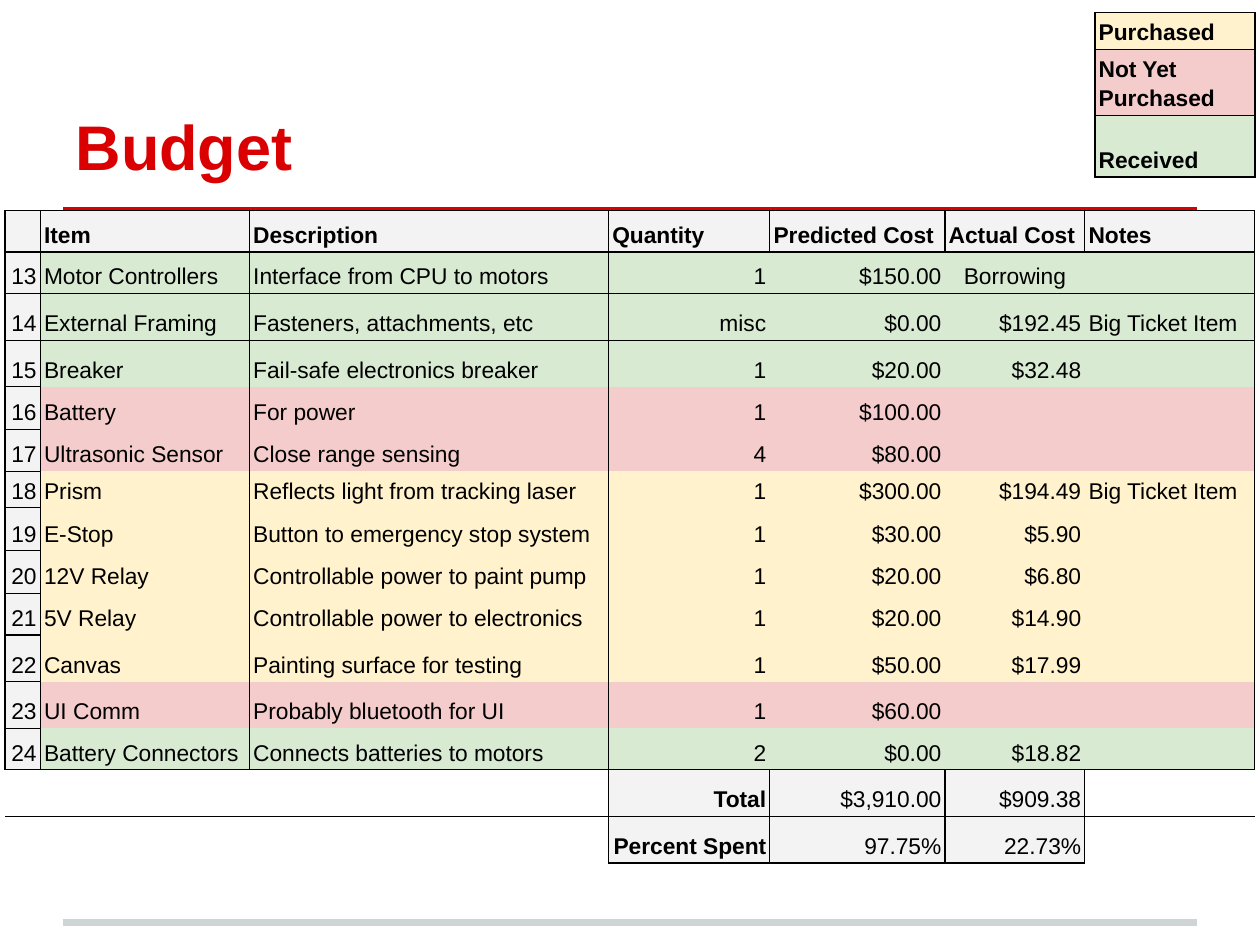
"""Build the budget slide: a colour-coded cost table with its legend."""
from lxml.etree import SubElement
from pptx import Presentation
from pptx.dml.color import RGBColor
from pptx.enum.shapes import MSO_CONNECTOR
from pptx.enum.text import MSO_ANCHOR, PP_ALIGN
from pptx.oxml.ns import qn
from pptx.util import Inches, Pt

COLORS = {"red": "DA0002", "rule": "CFD4D4", "text": "000000", "head": "F3F3F3",
          "received": "D9EAD3", "pending": "F4CCCC", "purchased": "FFF2CC"}
NO_STYLE = "{2D5ABB26-0587-4C30-8999-92F81FD0307C}"
LEFT, CENTER, RIGHT = PP_ALIGN.LEFT, PP_ALIGN.CENTER, PP_ALIGN.RIGHT

HEADER = ("", "Item", "Description", "Quantity", "Predicted Cost", "Actual Cost", "Notes")
ITEMS = [
    ("received", "Motor Controllers", "Interface from CPU to motors", "1", "$150.00", "Borrowing", ""),
    ("received", "External Framing", "Fasteners, attachments, etc", "misc", "$0.00", "$192.45", "Big Ticket Item"),
    ("received", "Breaker", "Fail-safe electronics breaker", "1", "$20.00", "$32.48", ""),
    ("pending", "Battery", "For power", "1", "$100.00", "", ""),
    ("pending", "Ultrasonic Sensor", "Close range sensing", "4", "$80.00", "", ""),
    ("purchased", "Prism", "Reflects light from tracking laser", "1", "$300.00", "$194.49", "Big Ticket Item"),
    ("purchased", "E-Stop", "Button to emergency stop system", "1", "$30.00", "$5.90", ""),
    ("purchased", "12V Relay", "Controllable power to paint pump", "1", "$20.00", "$6.80", ""),
    ("purchased", "5V Relay", "Controllable power to electronics", "1", "$20.00", "$14.90", ""),
    ("purchased", "Canvas", "Painting surface for testing", "1", "$50.00", "$17.99", ""),
    ("pending", "UI Comm", "Probably bluetooth for UI", "1", "$60.00", "", ""),
    ("received", "Battery Connectors", "Connects batteries to motors", "2", "$0.00", "$18.82", ""),
]
FIRST_NUMBER = 13
TOTALS = [("Total", "$3,910.00", "$909.38"), ("Percent Spent", "97.75%", "22.73%")]
TOTAL_BORDERS = [("T", "T", "TR", "LTB"), ("T", "", "R", "LT")]
LEGEND = [("Purchased", "purchased"), ("Not Yet Purchased", "pending"), ("Received", "received")]

COLS = (0.28, 1.66, 2.85, 1.28, 1.39, 1.11, 1.35)
ROWS = (0.33, 0.33, 0.37, 0.37, 0.34, 0.33, 0.29, 0.34, 0.34, 0.33, 0.37, 0.37, 0.33, 0.37, 0.37)
LEGEND_ROWS = (0.29, 0.52, 0.49)


def rgb(name):
    return RGBColor.from_string(COLORS[name])


def write(tf, text, size=13, color="text", bold=False, align=LEFT, spacing=1.15):
    p = tf.paragraphs[0]
    p.alignment, p.line_spacing = align, spacing
    if not text:
        SubElement(p._p, qn("a:endParaRPr"), sz=str(size * 100))
        return
    r = p.add_run()
    r.text = text
    r.font.name, r.font.size, r.font.bold = "Arial", Pt(size), bold
    r.font.color.rgb = rgb(color)


def fill_cell(cell, text="", fill=None, borders="", **fmt):
    cell.vertical_anchor = MSO_ANCHOR.BOTTOM
    cell.margin_left = cell.margin_right = cell.margin_top = cell.margin_bottom = Inches(0.03)
    tc_pr = cell._tc.get_or_add_tcPr()
    for side in "LRTB":
        if side in borders:
            ln = SubElement(tc_pr, qn(f"a:ln{side}"), w=str(Pt(0.75)))
            solid = SubElement(ln, qn("a:solidFill"))
            SubElement(solid, qn("a:srgbClr"), val=COLORS["text"])
    if fill:
        cell.fill.solid()
        cell.fill.fore_color.rgb = rgb(fill)
    else:
        cell.fill.background()
    write(cell.text_frame, text, **fmt)


def add_grid(s, x, y, cols, rows):
    frame = s.shapes.add_table(len(rows), len(cols), Inches(x), Inches(y),
                               Inches(sum(cols)), Inches(sum(rows)))
    table = frame.table
    table.first_row = table.horz_banding = False
    table._tbl.tblPr.find(qn("a:tableStyleId")).text = NO_STYLE
    for col, width in zip(table.columns, cols):
        col.width = Inches(width)
    for row, height in zip(table.rows, rows):
        row.height = Inches(height)
    return table


def add_rule(s, y, color):
    line = s.shapes.add_connector(MSO_CONNECTOR.STRAIGHT, Inches(0.5), Inches(y), Inches(9.5), Inches(y))
    line.line.color.rgb = rgb(color)
    line.line.width = Pt(4)
    SubElement(line._element.spPr, qn("a:effectLst"))


def item_borders(row, col):
    sides = {1: "LR", 2: "L", 6: "R"}.get(col, "")
    if row in (0, 1):
        sides += "T"
    if row in (0, len(ITEMS) - 1):
        sides += "B"
    return sides


def add_budget(s):
    table = add_grid(s, 0.04, 1.67, COLS, ROWS)
    for c, text in enumerate(HEADER):
        fill_cell(table.cell(0, c), text, "head", "LRTB", bold=True)
    for i, (status, *values) in enumerate(ITEMS):
        fill_cell(table.cell(i + 1, 0), str(FIRST_NUMBER + i), "head", "LRTB", align=RIGHT)
        for c, text in enumerate(values, 1):
            align = CENTER if text == "Borrowing" else RIGHT if c in (3, 4, 5) else LEFT
            fill_cell(table.cell(i + 1, c), text, status, item_borders(i, c), align=align)
    for r, (values, borders) in enumerate(zip(TOTALS, TOTAL_BORDERS), len(ITEMS) + 1):
        for c, sides in zip((0, 1, 2, 6), borders):
            fill_cell(table.cell(r, c), borders=sides + ("B" if c == 0 and r == len(ITEMS) + 1 else ""))
        for c, text in enumerate(values, 3):
            fill_cell(table.cell(r, c), text, "head", "LRTB", bold=c == 3, align=RIGHT)


def add_legend(s):
    table = add_grid(s, 8.69, 0.1, (1.27,), LEGEND_ROWS)
    for r, (text, status) in enumerate(LEGEND):
        fill_cell(table.cell(r, 0), text, status, "LRTB", bold=True)


def main():
    prs = Presentation()
    prs.slide_width, prs.slide_height = Inches(10), Inches(7.5)
    s = prs.slides.add_slide(prs.slide_layouts[5])
    title = s.shapes.title
    title.left, title.top, title.width, title.height = (Inches(v) for v in (0.5, 0.3, 9, 1.25))
    tf = title.text_frame
    tf.vertical_anchor = MSO_ANCHOR.BOTTOM
    tf.margin_left = tf.margin_right = tf.margin_top = tf.margin_bottom = Inches(0.1)
    write(tf, "Budget", size=36, color="red", bold=True, spacing=1.0)
    add_rule(s, 7.32, "rule")
    add_rule(s, 1.67, "red")
    add_budget(s)
    add_legend(s)
    prs.save("out.pptx")


if __name__ == "__main__":
    main()
